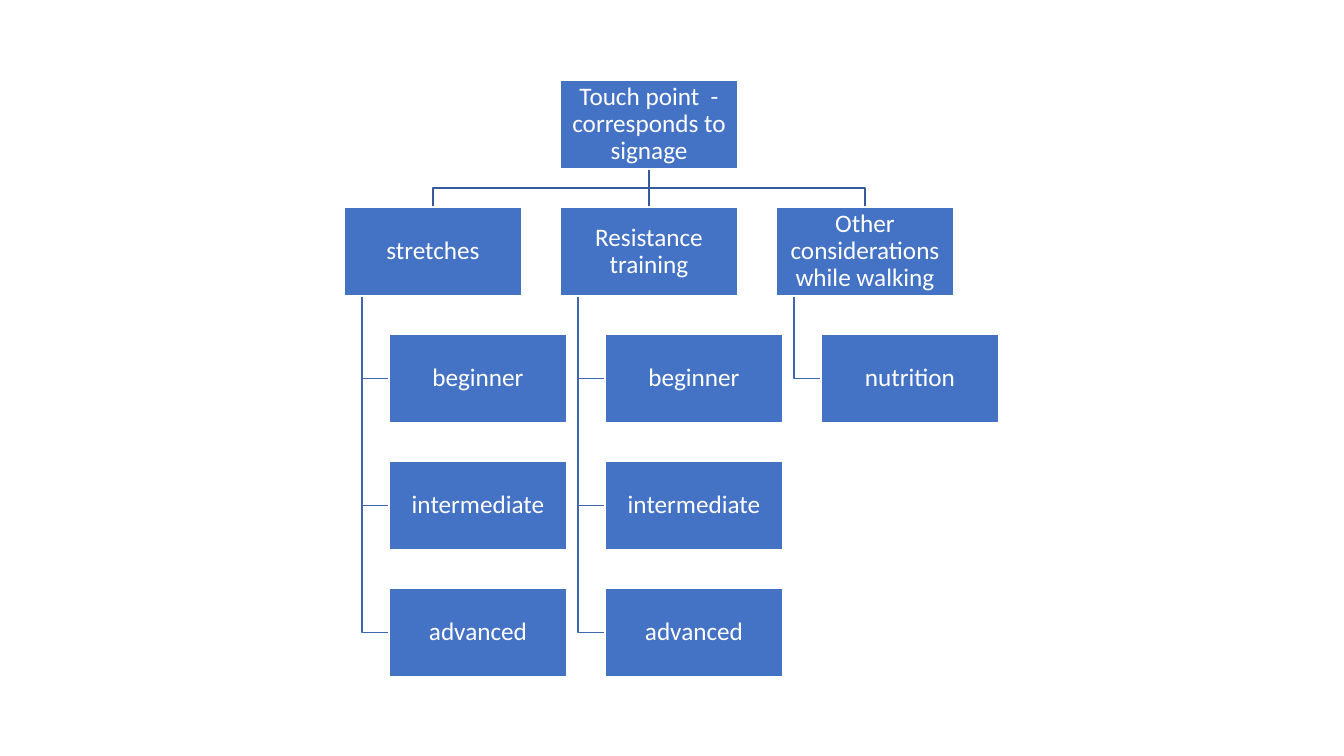
"""Draw a chart of touch points and their training levels."""
from lxml import etree
from pptx import Presentation
from pptx import util as u
from pptx.dml.color import RGBColor
from pptx.enum import shapes, text
from pptx.oxml.ns import qn

SCALE = 914400 / 100.8
HUES = {"box": "4472C4", "edge": "FFFFFF", "text": "FFFFFF",
        "bus": "365B9D", "stem": "3E67B2"}
WIDE, HIGH = 178, 89
LEFT, TOP = 344, 80
COL, ROW = 216, 127
INDENT, STEM = 45, 18
ROOT = "Touch point  - corresponds to signage"
LEVELS = ["beginner", "intermediate", "advanced"]
GROUPS = [("stretches", LEVELS),
          ("Resistance training", LEVELS),
          ("Other considerations while walking", ["nutrition"])]


def px(n):
    """Turn pixels into EMU."""
    return u.Emu(round(n * SCALE))


def hue(name):
    """Look up a colour by its role."""
    return RGBColor.from_string(HUES[name])


def stroke(item, color):
    """Give an item a thin line."""
    item.line.color.rgb = hue(color)
    item.line.width = u.Pt(1)


def write(shape, words, size=18, font="Calibri", color="text"):
    """Put centred words in a shape."""
    frame = shape.text_frame
    frame.word_wrap = True
    frame.vertical_anchor = text.MSO_ANCHOR.MIDDLE
    frame.margin_left = frame.margin_right = px(1)
    frame.margin_top = frame.margin_bottom = px(1)
    para = frame.paragraphs[0]
    para.alignment = text.PP_ALIGN.CENTER
    para.line_spacing = 0.9
    run = para.add_run()
    run.text = words
    run.font.size = u.Pt(size)
    run.font.name = font
    run.font.color.rgb = hue(color)


def box(slide, words, x, y):
    """Add one labelled box."""
    shape = slide.shapes.add_shape(shapes.MSO_SHAPE.RECTANGLE,
                                   px(x), px(y), px(WIDE), px(HIGH))
    shape.shadow.inherit = False
    shape.fill.solid()
    shape.fill.fore_color.rgb = hue("box")
    stroke(shape, "edge")
    write(shape, words)


def bend(slide, points, color):
    """Add an open line with corners."""
    first, *rest = [(px(x), px(y)) for x, y in points]
    pen = slide.shapes.build_freeform(*first)
    pen.add_line_segments(rest, close=False)
    shape = pen.convert_to_shape()
    shape.shadow.inherit = False
    shape.fill.background()
    stroke(shape, color)


def drop(slide, x, top, end, color):
    """Add a straight upright line."""
    line = slide.shapes.add_connector(shapes.MSO_CONNECTOR.STRAIGHT,
                                      px(x), px(top), px(x), px(end))
    etree.SubElement(line._element.spPr, qn("a:effectLst"))
    stroke(line, color)


def links(slide):
    """Join the root to its groups and the groups to their items."""
    mid = LEFT + COL + WIDE / 2
    foot, head = TOP + HIGH, TOP + ROW
    bus = (foot + head) / 2
    for col, (_, items) in enumerate(GROUPS):
        x = LEFT + col * COL
        end = x + WIDE / 2
        if end == mid:
            drop(slide, mid, foot, head, "bus")
        else:
            bend(slide, [(mid, foot), (mid, bus), (end, bus), (end, head)],
                 "bus")
        for row in range(len(items)):
            y = TOP + (row + 2) * ROW + HIGH / 2
            bend(slide, [(x + STEM, head + HIGH), (x + STEM, y),
                         (x + INDENT, y)], "stem")


def boxes(slide):
    """Add the root, the groups and their items."""
    box(slide, ROOT, LEFT + COL, TOP)
    for col, (name, items) in enumerate(GROUPS):
        x = LEFT + col * COL
        box(slide, name, x, TOP + ROW)
        for row, item in enumerate(items, 2):
            box(slide, item, x + INDENT, TOP + row * ROW)


def main():
    """Build and save the slide."""
    deck = Presentation()
    deck.slide_width, deck.slide_height = px(1344), px(756)
    slide = deck.slides.add_slide(deck.slide_layouts[6])
    links(slide)
    boxes(slide)
    deck.save("out.pptx")


main()
